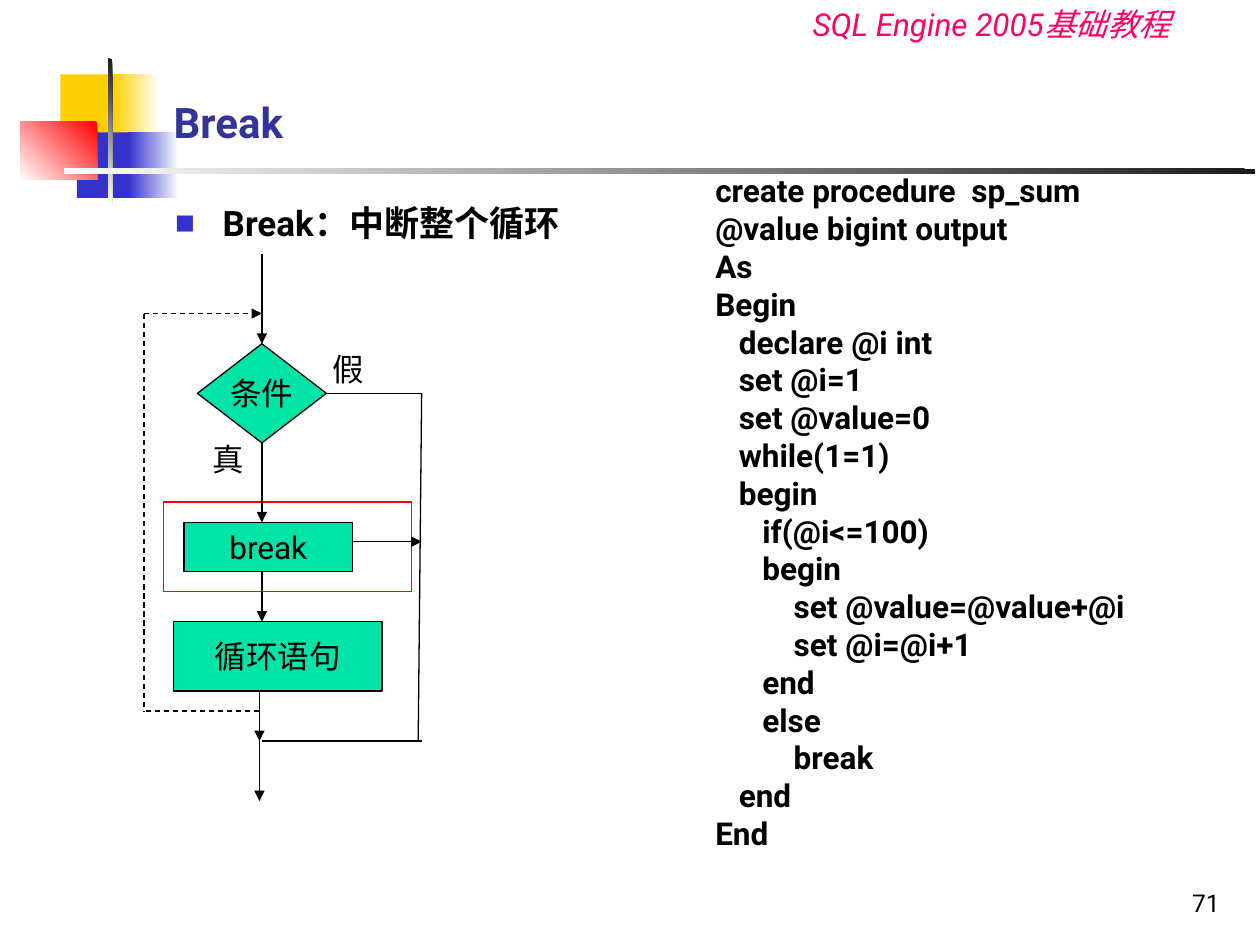
import lxml.etree
import pptx
import pptx.dml.color
import pptx.enum.dml
import pptx.enum.shapes
import pptx.enum.text
import pptx.oxml.ns
import pptx.util
from dataclasses import dataclass

Cm = pptx.util.Cm
SHAPE = pptx.enum.shapes.MSO_SHAPE
ALIGN = pptx.enum.text.PP_ALIGN
ANCHOR = pptx.enum.text.MSO_ANCHOR


@dataclass(frozen=True)
class Theme:
    font: str = "Roboto"
    text: str = "000000"
    title: str = "333399"
    course: str = "FF0066"
    accent: str = "3333CC"
    yellow: str = "FFCF01"
    red: str = "FF0000"
    white: str = "FFFFFF"
    paper: str = "FEFEFE"
    dark: str = "1C1C1C"
    node: str = "00E4A8"
    title_size: int = 24
    body_size: int = 20
    label_size: int = 18
    number_size: int = 14
    line_width: float = 0.75


T = Theme()

# Boxes are left, top, width, height; all lengths are in centimetres.
# Ornaments: box, start colour, end colour (None for a plain fill), angle
ORNAMENTS = [
    ((1.22, 1.5, 1.22, 1.32), T.yellow, None, 0),
    ((2.29, 1.5, 0.91, 1.32), T.white, T.yellow, 180),
    ((1.55, 2.67, 1.17, 1.32), T.accent, None, 0),
    ((2.59, 2.67, 1.02, 1.32), T.white, T.accent, 180),
    ((0.41, 2.46, 1.55, 1.17), T.red, T.white, 225),
    ((2.18, 1.19, 0.08, 2.92), T.dark, T.white, 225),
    ((1.3, 3.4, 24, 0.1), T.dark, T.white, 225),
]

COURSE = "SQL Engine 2005基础教程"
TITLE = "Break"
BULLET = "Break：中断整个循环"
PAGE = "71"
CODE = """create procedure  sp_sum
@value bigint output
As
Begin
   declare @i int
   set @i=1
   set @value=0
   while(1=1)
   begin
      if(@i<=100)
      begin
          set @value=@value+@i
          set @i=@i+1
      end
      else
          break
   end
End""".split("\n")

NODES = {
    "condition": (SHAPE.DIAMOND, (3.98, 6.93, 2.6, 2), "条件"),
    "break": (SHAPE.RECTANGLE, (3.71, 10.53, 3.4, 0.99), "break"),
    "body": (SHAPE.RECTANGLE, (3.5, 12.53, 4.2, 1.4), "循环语句"),
}
BREAK_FRAME = (3.3, 10.12, 5, 1.8)
BRANCH_LABELS = [((4.04, 8.74, 1.14, 1.02), "真"), ((6.45, 6.93, 1.14, 1.02), "假")]

AXIS, EXIT_AXIS, LOOP_X, FALSE_X = 5.28, 5.23, 2.9, 8.5
LOOP_TOP, LOOP_BOTTOM, MERGE_Y, BREAK_Y = 6.32, 14.33, 14.94, 10.92
# Edges: start, end, dashed, arrow; an end is a point or (node, side)
EDGES = [
    ((AXIS, 5.13), ("condition", 0), False, True),
    (("condition", 2), (AXIS, 10.53), False, True),
    ((AXIS, 11.52), (AXIS, 12.53), False, True),
    (("condition", 3), (FALSE_X, 7.93), False, False),
    ((FALSE_X, 7.93), (8.43, MERGE_Y), False, False),
    ((7.11, BREAK_Y), (FALSE_X, BREAK_Y), False, True),
    ((EXIT_AXIS, 13.93), (EXIT_AXIS, MERGE_Y), False, True),
    ((EXIT_AXIS, 14.76), (EXIT_AXIS, 16.15), False, True),
    ((AXIS, MERGE_Y), (FALSE_X, MERGE_Y), False, False),
    ((EXIT_AXIS, LOOP_BOTTOM), (LOOP_X, LOOP_BOTTOM), True, False),
    ((LOOP_X, LOOP_TOP), (LOOP_X, LOOP_BOTTOM), True, False),
    ((LOOP_X, LOOP_TOP), (AXIS, LOOP_TOP), True, True),
]


def rgb(value):
    return pptx.dml.color.RGBColor.from_string(value)


def add_xml(parent, tag, **attrs):
    return lxml.etree.SubElement(parent, pptx.oxml.ns.qn(tag), attrs)


def lengths(values):
    return [Cm(v) for v in values]


def paint(fill, start, end=None, angle=0):
    """Fill plainly, or with a gradient when an end colour is given."""
    if end is None:
        fill.solid()
        fill.fore_color.rgb = rgb(start)
        return
    fill.gradient()
    fill.gradient_angle = angle
    for stop, color in zip(fill.gradient_stops, (start, end)):
        stop.color.rgb = rgb(color)


def write(sp, lines, size, color=T.text, bold=False, italic=False,
          align=ALIGN.LEFT, anchor=ANCHOR.TOP, wrap=True):
    tf = sp.text_frame
    tf.word_wrap = wrap
    tf.vertical_anchor = anchor
    for i, line in enumerate(lines):
        p = tf.paragraphs[0] if i == 0 else tf.add_paragraph()
        p.alignment = align
        r = p.add_run()
        r.text = line
        r.font.name = T.font
        r.font.size = pptx.util.Pt(size)
        r.font.color.rgb = rgb(color)
        r.font.bold = bold
        r.font.italic = italic
    return tf


def add_text(slide, box, lines, size, **style):
    return write(slide.shapes.add_textbox(*lengths(box)), lines, size, **style)


def add_box(slide, kind, box, line=None):
    sp = slide.shapes.add_shape(kind, *lengths(box))
    sp.shadow.inherit = False
    if line:
        sp.line.color.rgb = rgb(line)
        sp.line.width = pptx.util.Pt(T.line_width)
    else:
        sp.line.fill.background()
    return sp


def add_bullet(p):
    pPr = p._p.get_or_add_pPr()
    pPr.set("marL", str(Cm(0.96)))
    pPr.set("indent", str(-Cm(0.96)))
    add_xml(add_xml(pPr, "a:buClr"), "a:srgbClr", val=T.accent)
    add_xml(pPr, "a:buSzPct", val="60000")
    add_xml(pPr, "a:buFont", typeface=T.font)
    add_xml(pPr, "a:buChar", char="■")


def add_edge(slide, nodes, start, end, dashed, arrow):
    joined = [isinstance(e[0], str) for e in (start, end)]
    points = [(0, 0) if j else e for j, e in zip(joined, (start, end))]
    cx = slide.shapes.add_connector(pptx.enum.shapes.MSO_CONNECTOR.STRAIGHT,
                                    *lengths(points[0] + points[1]))
    if joined[0]:
        cx.begin_connect(nodes[start[0]], start[1])
    if joined[1]:
        cx.end_connect(nodes[end[0]], end[1])
    cx.line.color.rgb = rgb(T.text)
    cx.line.width = pptx.util.Pt(T.line_width)
    if dashed:
        cx.line.dash_style = pptx.enum.dml.MSO_LINE.DASH
    if arrow:
        add_xml(cx.line._get_or_add_ln(), "a:tailEnd", type="triangle")
    add_xml(cx._element.spPr, "a:effectLst")


def main():
    prs = pptx.Presentation()
    prs.slide_width, prs.slide_height = lengths((25.4, 19.05))
    slide = prs.slides.add_slide(prs.slide_layouts[6])
    paint(slide.background.fill, T.white, T.paper, 270)

    for box, *colors in ORNAMENTS:
        paint(add_box(slide, SHAPE.RECTANGLE, box).fill, *colors)

    add_text(slide, (16.13, -0.03, 7.98, 1.02), [COURSE], T.label_size,
             color=T.course, italic=True, wrap=False)
    add_text(slide, (3.25, 1.57, 21.64, 1.52), [TITLE], T.title_size,
             color=T.title, bold=True, anchor=ANCHOR.BOTTOM)
    tf = add_text(slide, (3.28, 3.94, 9.5, 1.2), [BULLET], T.body_size, bold=True)
    add_bullet(tf.paragraphs[0])
    add_text(slide, (14.17, 3.33, 9.32, 13.97), CODE, T.label_size, bold=True)

    nodes = {}
    for name, (kind, box, label) in NODES.items():
        sp = nodes[name] = add_box(slide, kind, box, T.text)
        paint(sp.fill, T.node)
        write(sp, [label], T.label_size, align=ALIGN.CENTER,
              anchor=ANCHOR.MIDDLE, wrap=False)
    add_box(slide, SHAPE.RECTANGLE, BREAK_FRAME, T.red).fill.background()
    for box, label in BRANCH_LABELS:
        add_text(slide, box, [label], T.label_size, wrap=False)
    for edge in EDGES:
        add_edge(slide, nodes, *edge)

    add_text(slide, (19.56, 17.35, 5.28, 1.27), [PAGE], T.number_size,
             align=ALIGN.RIGHT, anchor=ANCHOR.BOTTOM)
    prs.save("out.pptx")


if __name__ == "__main__":
    main()
